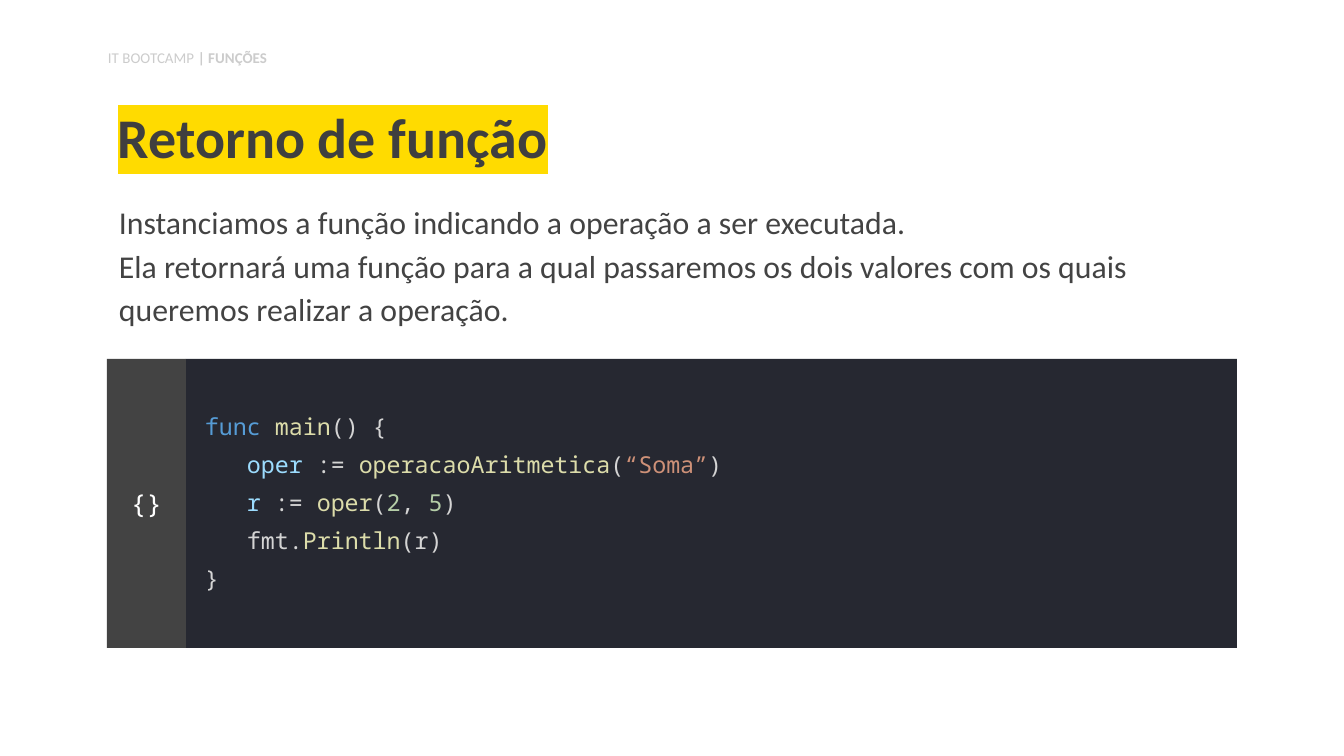
import pptx
import pptx.dml.color
import pptx.enum.shapes
import pptx.enum.text
import pptx.util
from lxml import etree
from pptx.oxml.ns import qn

RGBColor = pptx.dml.color.RGBColor
Anchor = pptx.enum.text.MSO_ANCHOR
Align = pptx.enum.text.PP_ALIGN

WHITE = RGBColor(0xFF, 0xFF, 0xFF)
PALE_GRAY = RGBColor(0xCC, 0xCC, 0xCC)
TITLE_GRAY = RGBColor(0x3F, 0x3F, 0x3F)
DARK_GRAY = RGBColor(0x43, 0x43, 0x43)
YELLOW = RGBColor(0xFF, 0xDB, 0x00)
CODE_BACK = RGBColor(0x26, 0x28, 0x31)
KEYWORD = RGBColor(0x56, 0x9C, 0xD6)
FUNCTION = RGBColor(0xDC, 0xDC, 0xAA)
PLAIN = RGBColor(0xD4, 0xD4, 0xD4)
VARIABLE = RGBColor(0x9C, 0xDC, 0xFE)
STRING = RGBColor(0xCE, 0x91, 0x78)
NUMBER = RGBColor(0xB5, 0xCE, 0xA8)

SANS = "Calibri"
MONO = "Noto Sans Mono"


def px(length):
    return pptx.util.Emu(round(length * 914400 / 134.4))


def write(shape, lines, font, size, insets=(13, 13, 13, 13), anchor=Anchor.TOP,
          align=Align.LEFT, spacing=None, bold=False):
    """Fill a shape with lines, each a list of (text, colour), and return its paragraphs."""
    frame = shape.text_frame
    frame.word_wrap = True
    frame.vertical_anchor = anchor
    frame.margin_left, frame.margin_top, frame.margin_right, frame.margin_bottom = map(px, insets)
    for index, line in enumerate(lines):
        para = frame.add_paragraph() if index else frame.paragraphs[0]
        para.alignment = align
        para.line_spacing = spacing
        for text, color in line:
            span = para.add_run()
            span.text = text
            span.font.name = font
            span.font.size = pptx.util.Pt(size)
            span.font.bold = bold
            span.font.color.rgb = color
    return frame.paragraphs


deck = pptx.Presentation()
deck.slide_width = px(1344)
deck.slide_height = px(756)
page = deck.slides.add_slide(deck.slide_layouts[6])

# Explanation
box = page.shapes.add_textbox(px(106), px(184), px(1133), px(153))
explanation = [
    "Instanciamos a função indicando a operação a ser executada.",
    "Ela retornará uma função para a qual passaremos os dois valores com os quais "
    "queremos realizar a operação.",
]
write(box, [[(text, DARK_GRAY)] for text in explanation], SANS, 17, spacing=1.15)

# Code block with its side tab
panels = []
for left, width, color in [(186, 1051, CODE_BACK), (107, 79, DARK_GRAY)]:
    panel = page.shapes.add_shape(pptx.enum.shapes.MSO_SHAPE.RECTANGLE,
                                  px(left), px(359), px(width), px(289))
    panel.shadow.inherit = False
    panel.fill.solid()
    panel.fill.fore_color.rgb = color
    panel.line.fill.background()
    panels.append(panel)
code_panel, side_tab = panels

code = [
    [("func ", KEYWORD), ("main", FUNCTION), ("() {", PLAIN)],
    [("   ", PLAIN), ("oper", VARIABLE), (" := ", PLAIN), ("operacaoAritmetica", FUNCTION),
     ("(", PLAIN), ("“Soma”", STRING), (")", PLAIN)],
    [("   ", PLAIN), ("r", VARIABLE), (" := ", PLAIN), ("oper", FUNCTION), ("(", PLAIN),
     ("2", NUMBER), (", ", PLAIN), ("5", NUMBER), (")", PLAIN)],
    [("   fmt.", PLAIN), ("Println", FUNCTION), ("(r)", PLAIN)],
    [("}", PLAIN)],
]
write(code_panel, code, MONO, 12.5, (19, 0, 13, 13), Anchor.MIDDLE, spacing=1.36)
write(side_tab, [[("{}", WHITE)]], MONO, 14, anchor=Anchor.MIDDLE, align=Align.CENTER)

# Running header
box = page.shapes.add_textbox(px(95), px(42), px(422), px(36))
header = write(box, [[("IT BOOTCAMP", PALE_GRAY), (" | FUNÇÕES", PALE_GRAY)]],
               SANS, 8, (13, 7, 13, 7))[0]
header.space_after = pptx.util.Pt(12)
header.runs[1].font.bold = True

# Highlighted title
box = page.shapes.add_textbox(px(105), px(91), px(1133), px(93))
title = write(box, [[("Retorno de função", TITLE_GRAY)]], SANS, 30,
              anchor=Anchor.BOTTOM, spacing=0.9, bold=True)[0]
highlight = etree.Element(qn("a:highlight"))
etree.SubElement(highlight, qn("a:srgbClr"), val=str(YELLOW))
title.runs[0].font.fill  # the highlight must follow the text fill
title.runs[0]._r.rPr.find(qn("a:solidFill")).addnext(highlight)

deck.save("out.pptx")
